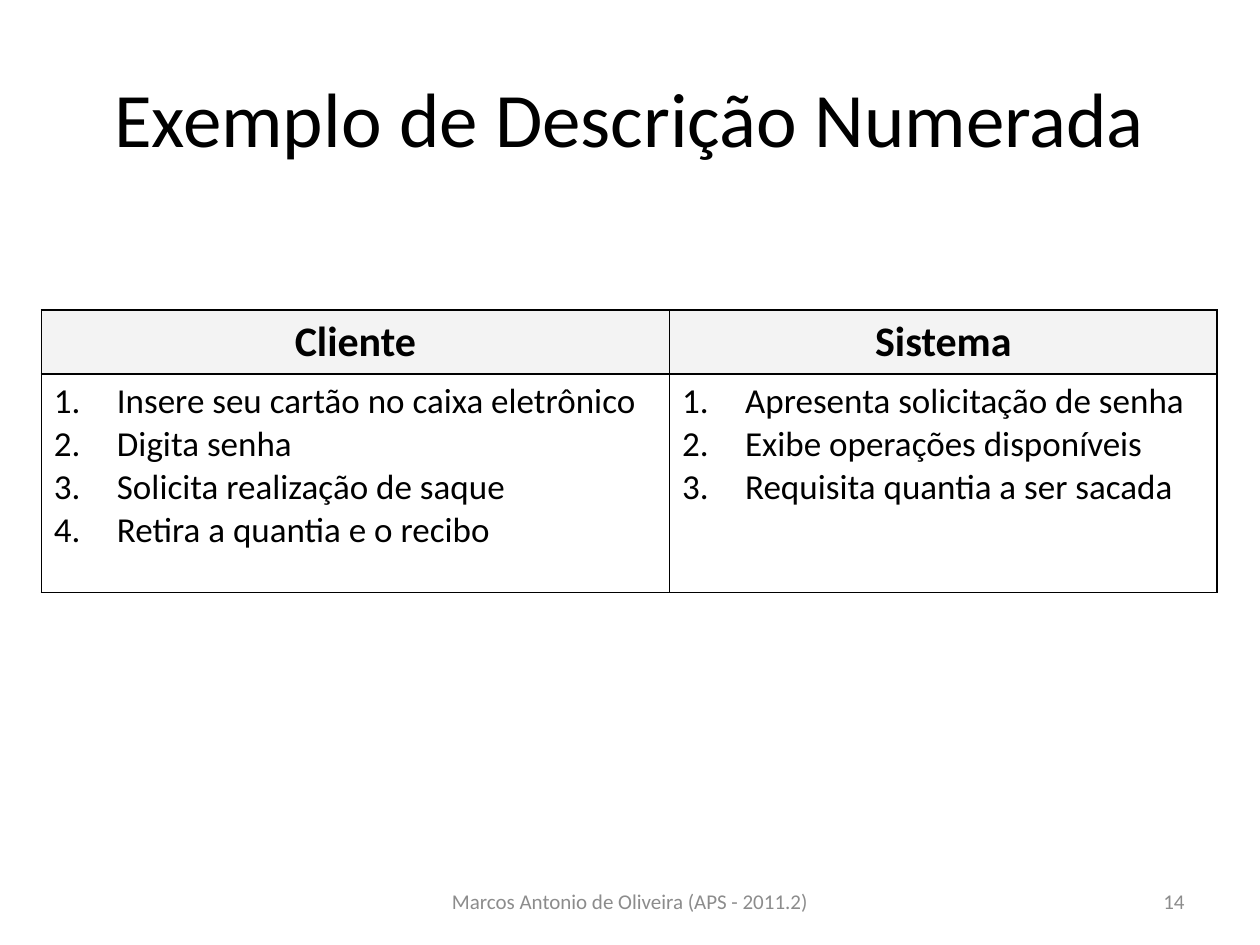
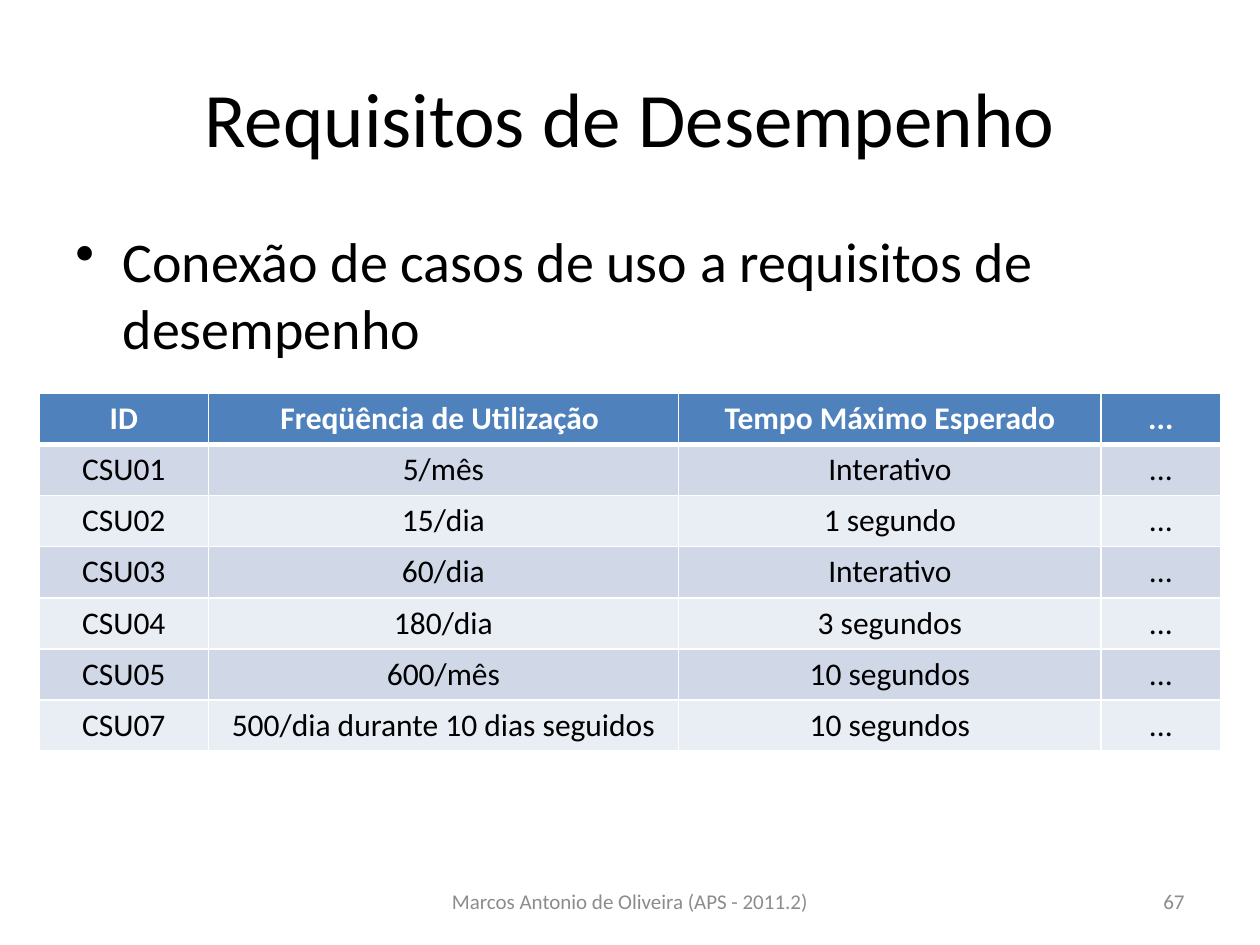
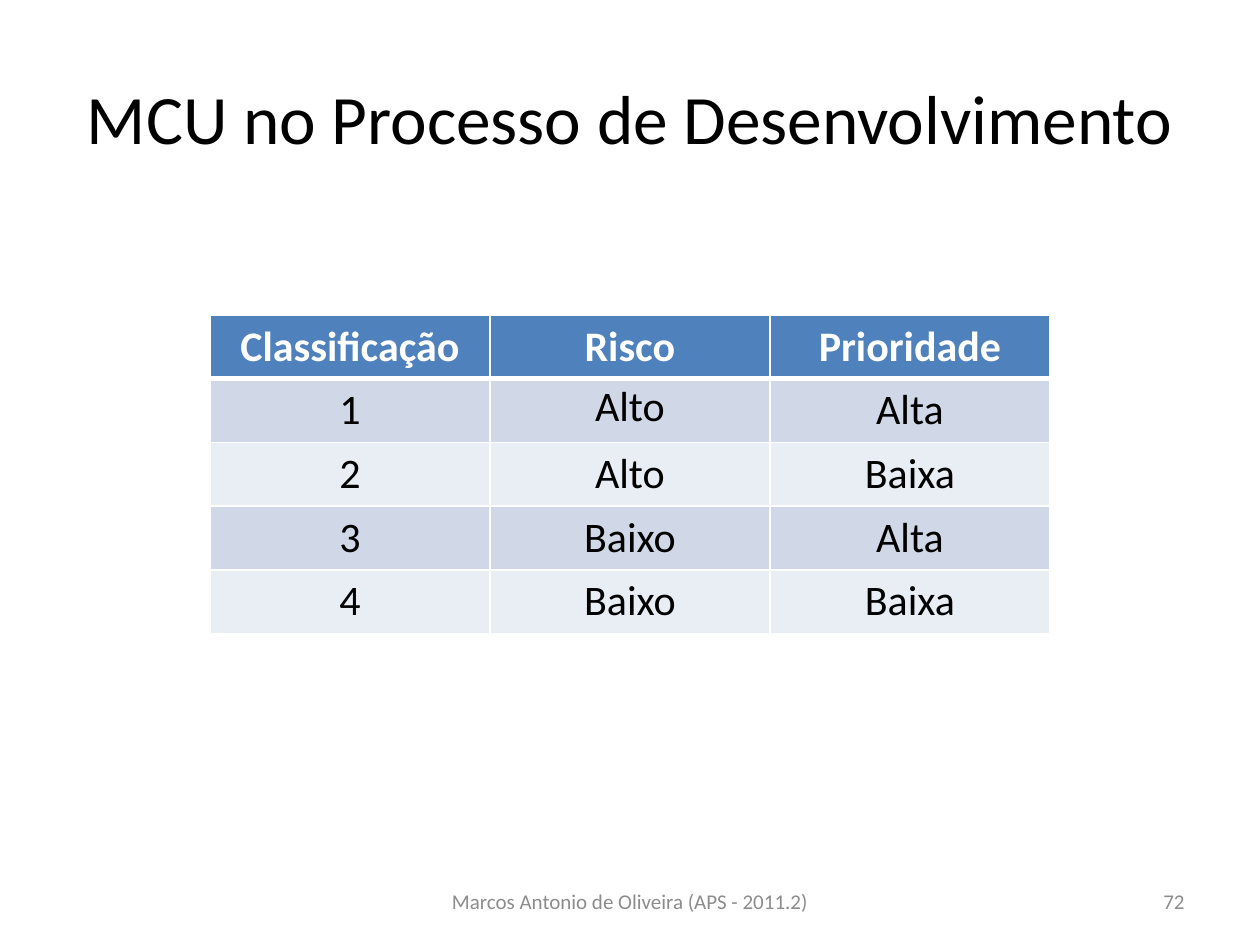
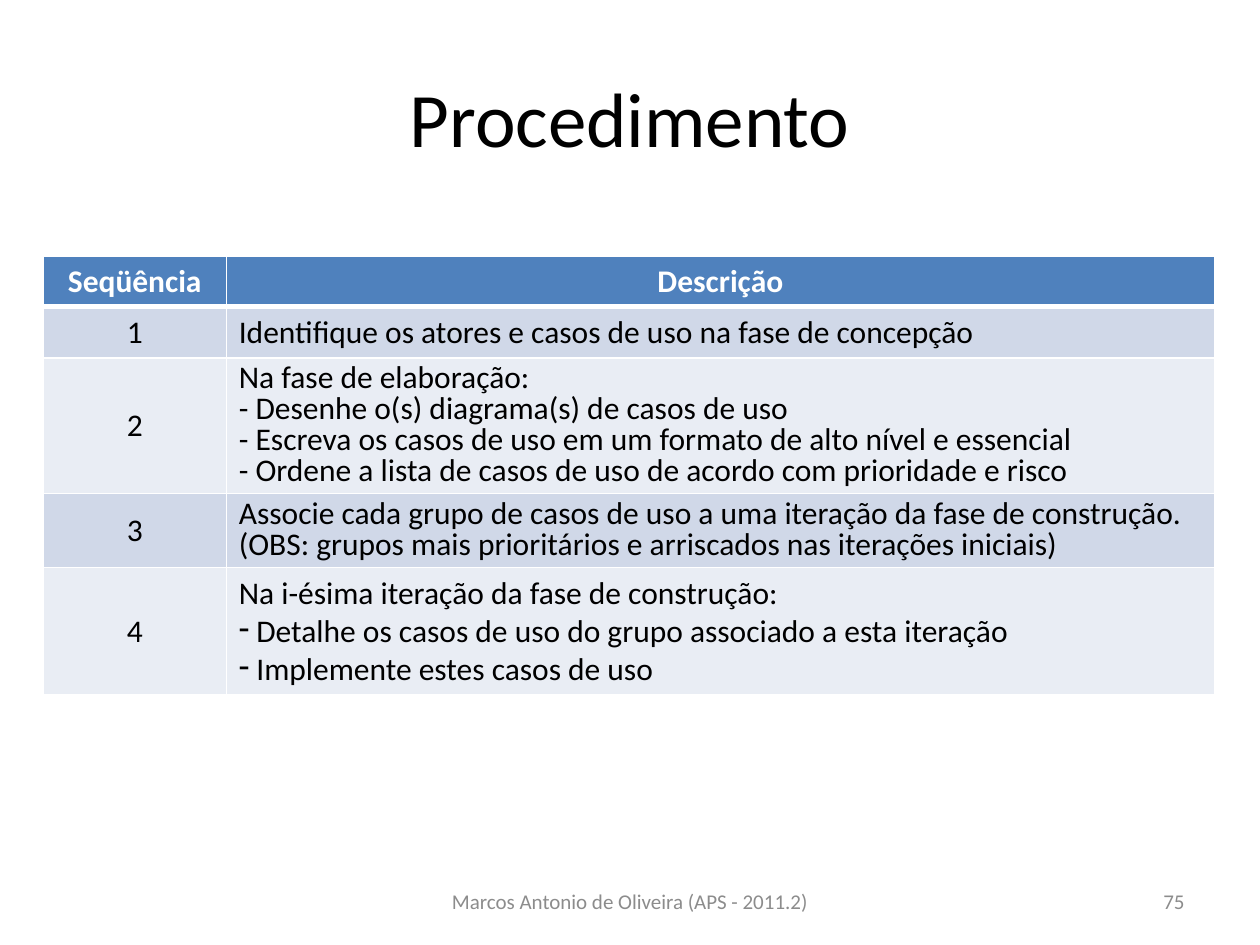
from dataclasses import dataclass
from lxml.etree import SubElement
from pptx import Presentation
from pptx.dml.color import RGBColor
from pptx.enum.text import MSO_ANCHOR, PP_ALIGN
from pptx.oxml.ns import qn
from pptx.util import Pt


# Theme
@dataclass(frozen=True)
class Theme:
    font: str = "Calibri"
    ink: str = "000000"
    paper: str = "FFFFFF"
    mute: str = "8C8C8C"
    blue: str = "4F81BD"
    pale: str = "F3F3F3"
    bands: tuple = ("D0D8E8", "E9EDF4")
    title: float = 44
    body: float = 32
    large: float = 24
    list: float = 20
    small: float = 18
    foot: float = 12


THEME = Theme()
FOOTER = "Marcos Antonio de Oliveira (APS - 2011.2)"


# Parts
@dataclass(frozen=True)
class Par:
    text: str
    align: PP_ALIGN = PP_ALIGN.CENTER
    hang: float = 0
    lines: float = 0
    bullet: str = ""
    level: int = 0


@dataclass(frozen=True)
class Look:
    head: str
    title: str
    line: str
    rule: float
    bands: tuple


@dataclass(frozen=True)
class Grid:
    left: float
    top: float
    cols: list
    rows: list
    cells: list
    look: Look
    head: float
    body: float
    anchor: MSO_ANCHOR = MSO_ANCHOR.TOP


@dataclass(frozen=True)
class Page:
    title: str
    number: int
    grid: Grid
    size: float = THEME.title
    point: str = ""


PLAIN = Look(THEME.pale, THEME.ink, THEME.ink, 1, ())
BANDED = Look(THEME.blue, THEME.paper, THEME.paper, 3, THEME.bands)


# Text
def write(frame, pars: list, size: float, color: str, bold: bool = False) -> None:
    frame.word_wrap = True
    for i, par in enumerate(pars):
        line = frame.add_paragraph() if i else frame.paragraphs[0]
        line.alignment = par.align
        line.level = par.level
        props = line._p.get_or_add_pPr()
        props.set("marL", str(Pt(par.hang)))
        props.set("indent", str(-Pt(par.hang)))
        if par.lines:
            line.line_spacing = par.lines
        if par.bullet == "1.":
            SubElement(props, qn("a:buAutoNum"), type="arabicPeriod")
        elif par.bullet:
            SubElement(props, qn("a:buChar"), char=par.bullet)
        else:
            SubElement(props, qn("a:buNone"))
        run = line.add_run()
        run.text = par.text
        run.font.name = THEME.font
        run.font.size = Pt(size)
        run.font.bold = bold
        run.font.color.rgb = RGBColor.from_string(color)


def label(slide, box: tuple, par: Par, size: float, color: str,
          anchor: MSO_ANCHOR = MSO_ANCHOR.TOP) -> None:
    frame = slide.shapes.add_textbox(*map(Pt, box)).text_frame
    frame.vertical_anchor = anchor
    write(frame, [par], size, color)


# Tables
def edge(cell, color: str, top: float, base: float) -> None:
    props = cell._tc.get_or_add_tcPr()
    for side, width in (("L", 1), ("R", 1), ("T", top), ("B", base)):
        line = SubElement(props, qn(f"a:ln{side}"), w=str(Pt(width)))
        fill = SubElement(line, qn("a:solidFill"))
        SubElement(fill, qn("a:srgbClr"), val=color)


def paint(cell, color: str) -> None:
    if color:
        cell.fill.solid()
        cell.fill.fore_color.rgb = RGBColor.from_string(color)
    else:
        cell.fill.background()


def draw(slide, grid: Grid) -> None:
    look = grid.look
    frame = slide.shapes.add_table(
        len(grid.rows), len(grid.cols), Pt(grid.left), Pt(grid.top),
        Pt(sum(grid.cols)), Pt(sum(grid.rows)))
    table = frame.table
    for col, width in zip(table.columns, grid.cols):
        col.width = Pt(width)
    for row, height in zip(table.rows, grid.rows):
        row.height = Pt(height)
    for r, row in enumerate(grid.cells):
        head = r == 0
        band = look.bands[(r - 1) % len(look.bands)] if look.bands else ""
        for c, item in enumerate(row):
            cell = table.cell(r, c)
            edge(cell, look.line, look.rule if r == 1 else 1,
                 look.rule if head else 1)
            paint(cell, look.head if head else band)
            cell.vertical_anchor = MSO_ANCHOR.TOP if head else grid.anchor
            pars = [Par(item)] if isinstance(item, str) else item
            write(cell.text_frame, pars, grid.head if head else grid.body,
                  look.title if head else THEME.ink, head)


# Slides
def build(deck, page: Page) -> None:
    slide = deck.slides.add_slide(deck.slide_layouts[5])
    title = slide.shapes.title
    title.left, title.top, title.width, title.height = map(
        Pt, (36, 21.6, 648, 90))
    title.text_frame.vertical_anchor = MSO_ANCHOR.MIDDLE
    write(title.text_frame, [Par(page.title)], page.size, THEME.ink)
    if page.point:
        label(slide, (36, 126, 648, 356.4),
              Par(page.point, PP_ALIGN.LEFT, 27, bullet="•"),
              THEME.body, THEME.ink)
    label(slide, (246, 500.5, 228, 28.8), Par(FOOTER),
          THEME.foot, THEME.mute, MSO_ANCHOR.MIDDLE)
    label(slide, (516, 500.5, 168, 28.8),
          Par(str(page.number), PP_ALIGN.RIGHT),
          THEME.foot, THEME.mute, MSO_ANCHOR.MIDDLE)
    draw(slide, page.grid)


# Content
def steps(*texts: str) -> list:
    return [Par(text, PP_ALIGN.LEFT, 36, bullet="1.") for text in texts]


def prose(*texts: str, hang: float = 42, lines: float = 0.8) -> list:
    return [Par(text, PP_ALIGN.JUSTIFY, hang, lines) for text in texts]


def tasks(*texts: str) -> list:
    return [Par(f" {text}", PP_ALIGN.JUSTIFY, bullet="-") for text in texts]


DIALOG = Grid(
    23.6, 177.2, [359, 313], [36.5, 125],
    [[[Par("Cliente", hang=27)], [Par("Sistema", hang=27)]],
     [steps("Insere seu cartão no caixa eletrônico", "Digita senha",
            "Solicita realização de saque", "Retira a quantia e o recibo"),
      steps("Apresenta solicitação de senha", "Exibe operações disponíveis",
            "Requisita quantia a ser sacada")]],
    PLAIN, THEME.large, THEME.list)

LOADS = [
    ("CSU01", "5/mês", "Interativo"),
    ("CSU02", "15/dia", "1 segundo"),
    ("CSU03", "60/dia", "Interativo"),
    ("CSU04", "180/dia", "3 segundos"),
    ("CSU05", "600/mês", "10 segundos"),
    ("CSU07", "500/dia durante 10 dias seguidos", "10 segundos"),
]
SPEED = Grid(
    22.5, 224.8, [96.5, 268.8, 241.5, 68.2], [29.2] * 7,
    [(*row, "...") for row in
     [("ID", "Freqüência de Utilização ", "Tempo Máximo Esperado"), *LOADS]],
    BANDED, THEME.small, THEME.small)

RANKS = Grid(
    120, 180, [160] * 3, [36.4] * 5,
    [("Classificação", "Risco", "Prioridade"),
     ("1", [Par("Alto", lines=0.9, level=1)], "Alta"),
     ("2", "Alto", "Baixa"),
     ("3", "Baixo", "Alta"),
     ("4", "Baixo", "Baixa")],
    BANDED, THEME.large, THEME.large)

METHOD = Grid(
    24.8, 146.5, [104.5, 564.8], [28.5, 29.2, 77.5, 42.4, 72.6],
    [("Seqüência", "Descrição"),
     ("1", prose("Identifique os atores e casos de uso na fase de concepção",
                 hang=0, lines=0)),
     ("2", prose(
         "Na fase de elaboração:",
         "- Desenhe o(s) diagrama(s) de casos de uso",
         "- Escreva os casos de uso em um formato de alto nível e essencial",
         "- Ordene a lista de casos de uso de acordo com prioridade e risco")),
     ("3", prose(
         "Associe cada grupo de casos de uso a uma iteração da fase de "
         "construção.",
         "(OBS: grupos mais prioritários e arriscados nas iterações "
         "iniciais)")),
     ("4", prose("Na i-ésima iteração da fase de construção:",
                 hang=0, lines=0)
      + tasks("Detalhe os casos de uso do grupo associado a esta iteração",
              "Implemente estes casos de uso"))],
    BANDED, THEME.small, THEME.small, MSO_ANCHOR.MIDDLE)

PAGES = [
    Page("Exemplo de Descrição Numerada", 14, DIALOG),
    Page("Requisitos de Desempenho", 67, SPEED,
         point="Conexão de casos de uso a requisitos de desempenho"),
    Page("MCU no Processo de Desenvolvimento", 72, RANKS, 39.6),
    Page("Procedimento", 75, METHOD),
]


def main() -> None:
    deck = Presentation()
    deck.slide_width, deck.slide_height = Pt(720), Pt(540)
    for page in PAGES:
        build(deck, page)
    deck.save("out.pptx")


if __name__ == "__main__":
    main()
